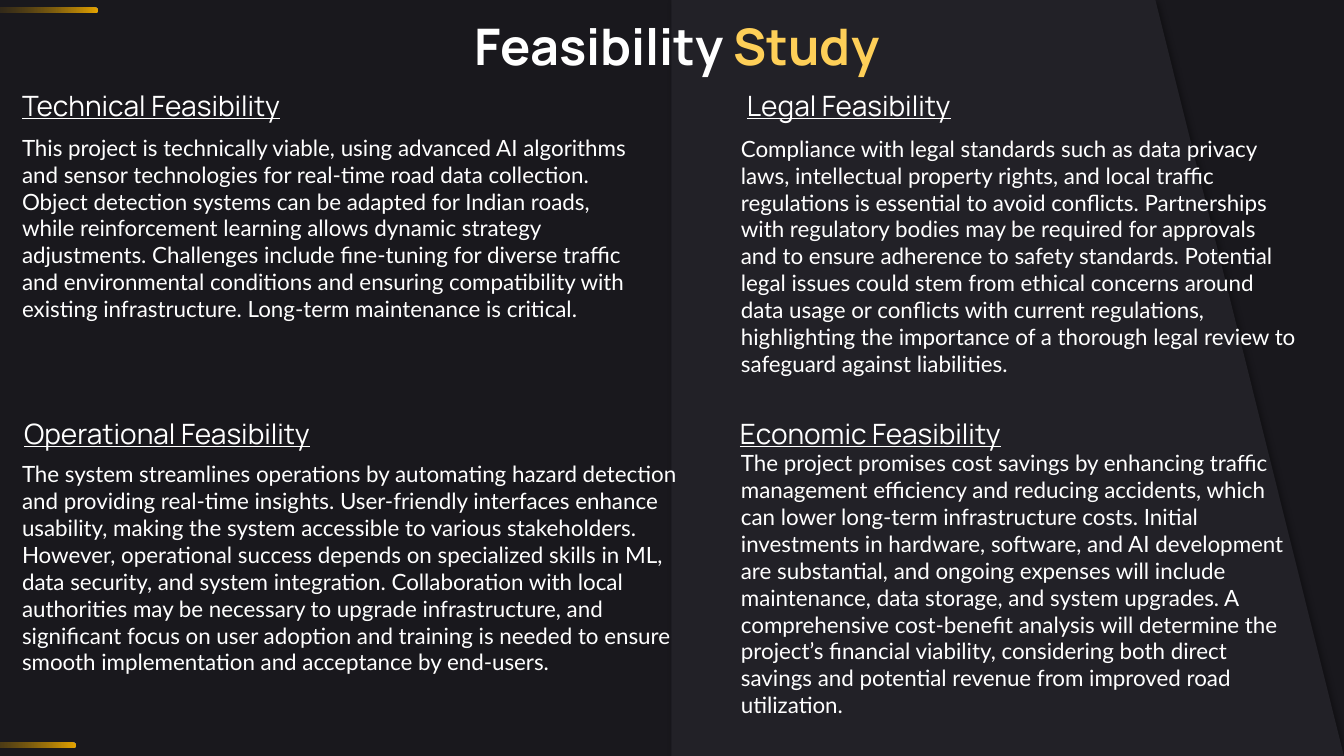
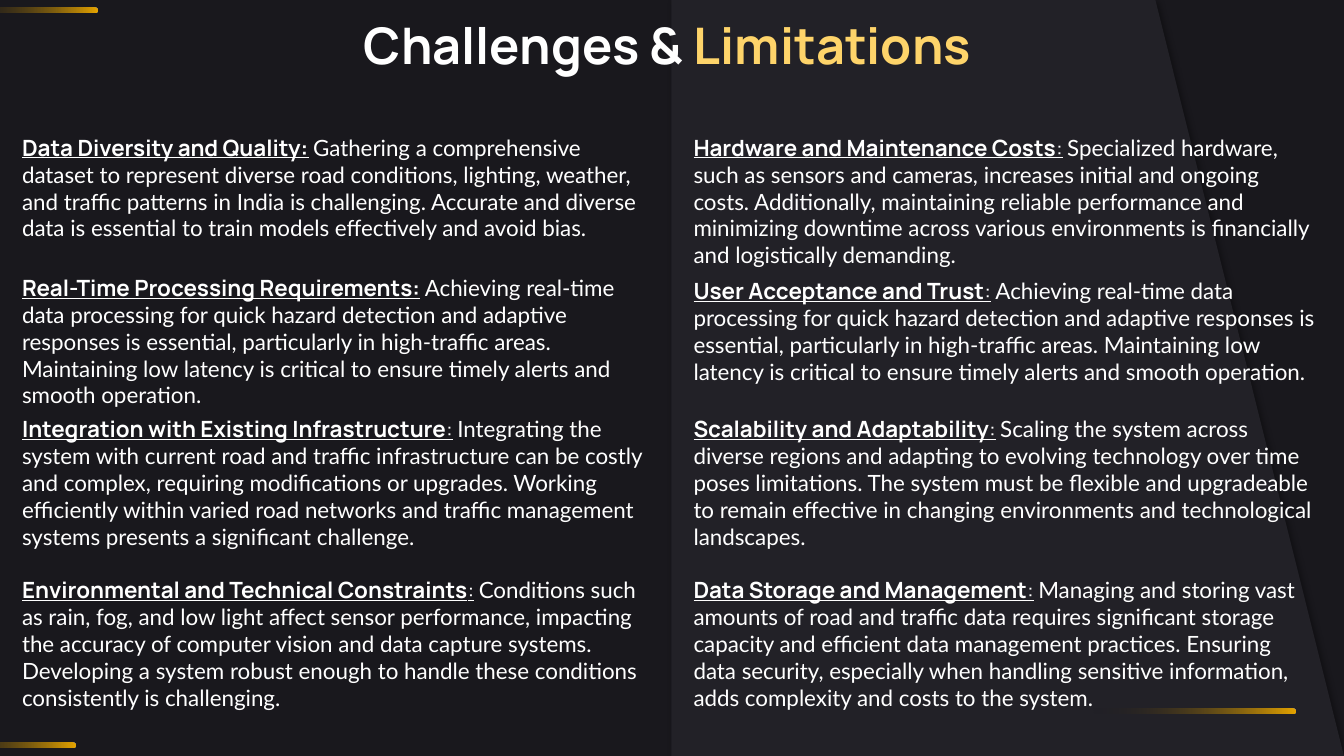
from dataclasses import dataclass

from pptx import Presentation, util as u
from pptx.dml.color import RGBColor
from pptx.enum import shapes as shp, text as txt
from pptx.oxml import ns, parse_xml

# Shared look
PX = u.Inches(1) // 100
SLIDE_W, SLIDE_H = 1333, 750
BACKGROUND, PANEL, GOLD, WHITE = "19181D", "222127", "E5A401", "FFFFFF"
HEAD_FONT, BODY_FONT = "Manrope", "Lato"
BAR_THICKNESS = 5
LEFT_X, RIGHT_X = 12, 678


@dataclass(frozen=True)
class Box:
    x: int
    y: int
    w: int
    h: int


@dataclass(frozen=True)
class Bar:
    right: int
    middle: int
    length: int


@dataclass(frozen=True)
class Title:
    box: Box
    lead: str
    accent: str
    accent_color: str
    align: txt.PP_ALIGN


@dataclass(frozen=True)
class Study:
    heading: str
    heading_box: Box
    body: str
    body_box: Box


@dataclass(frozen=True)
class Challenge:
    x: int
    y: int
    h: int
    heading: str
    body: str
    bold_colon: bool = False


EDGE_BARS = [Bar(96, 10, 150), Bar(74, 739, 150)]
COST_BAR = Bar(1284, 705, 200)

# Slide 1 content
STUDY_TITLE = Title(Box(398, 10, 547, 71), "Feasibility ", "Study", "FECF58",
                    txt.PP_ALIGN.CENTER)
STUDIES = [
    Study("Technical Feasibility", Box(12, 83, 405, 44),
          "This project is technically viable, using advanced AI algorithms and sensor "
          "technologies for real-time road data collection. Object detection systems can be "
          "adapted for Indian roads, while reinforcement learning allows dynamic strategy "
          "adjustments. Challenges include fine-tuning for diverse traffic and environmental "
          "conditions and ensuring compatibility with existing infrastructure. Long-term "
          "maintenance is critical.", Box(12, 128, 639, 199)),
    Study("Operational Feasibility", Box(14, 408, 405, 44),
          "The system streamlines operations by automating hazard detection and providing "
          "real-time insights. User-friendly interfaces enhance usability, making the system "
          "accessible to various stakeholders. However, operational success depends on "
          "specialized skills in ML, data security, and system integration. Collaboration with "
          "local authorities may be necessary to upgrade infrastructure, and significant focus "
          "on user adoption and training is needed to ensure smooth implementation and "
          "acceptance by end-users.", Box(12, 452, 675, 283)),
    Study("Legal Feasibility", Box(731, 83, 405, 44),
          "Compliance with legal standards such as data privacy laws, intellectual property "
          "rights, and local traffic regulations is essential to avoid conflicts. Partnerships "
          "with regulatory bodies may be required for approvals and to ensure adherence to "
          "safety standards. Potential legal issues could stem from ethical concerns around "
          "data usage or conflicts with current regulations, highlighting the importance of a "
          "thorough legal review to safeguard against liabilities.", Box(725, 129, 572, 226)),
    Study("Economic Feasibility", Box(724, 408, 405, 44),
          "The project promises cost savings by enhancing traffic management efficiency and "
          "reducing accidents, which can lower long-term infrastructure costs. Initial "
          "investments in hardware, software, and AI development are substantial, and ongoing "
          "expenses will include maintenance, data storage, and system upgrades. A "
          "comprehensive cost-benefit analysis will determine the project’s financial "
          "viability, considering both direct savings and potential revenue from improved road "
          "utilization.", Box(725, 441, 572, 252)),
]

# Slide 2 content
CHALLENGE_TITLE = Title(Box(351, 9, 691, 71), "Challenges & ", "Limitations", "FED46A",
                        txt.PP_ALIGN.LEFT)
REAL_TIME = ("Achieving real-time data processing for quick hazard detection and adaptive "
             "responses is essential, particularly in high-traffic areas. Maintaining low "
             "latency is critical to ensure timely alerts and smooth operation.")
CHALLENGES = [
    Challenge(LEFT_X, 128, 118, "Data Diversity and Quality",
              "Gathering a comprehensive dataset to represent diverse road conditions, "
              "lighting, weather, and traffic patterns in India is challenging. Accurate and "
              "diverse data is essential to train models effectively and avoid bias.", True),
    Challenge(LEFT_X, 267, 118, "Real-Time Processing Requirements", REAL_TIME, True),
    Challenge(LEFT_X, 407, 145, "Integration with Existing Infrastructure",
              "Integrating the system with current road and traffic infrastructure can be "
              "costly and complex, requiring modifications or upgrades. Working efficiently "
              "within varied road networks and traffic management systems presents a "
              "significant challenge."),
    Challenge(LEFT_X, 567, 145, "Environmental and Technical Constraints",
              "Conditions such as rain, fog, and low light affect sensor performance, "
              "impacting the accuracy of computer vision and data capture systems. Developing "
              "a system robust enough to handle these conditions consistently is challenging."),
    Challenge(RIGHT_X, 128, 145, "Hardware and Maintenance Costs",
              "Specialized hardware, such as sensors and cameras, increases initial and "
              "ongoing costs. Additionally, maintaining reliable performance and minimizing "
              "downtime across various environments is financially and logistically "
              "demanding."),
    Challenge(RIGHT_X, 270, 118, "User Acceptance and Trust", REAL_TIME),
    Challenge(RIGHT_X, 407, 118, "Scalability and Adaptability",
              "Scaling the system across diverse regions and adapting to evolving technology "
              "over time poses limitations. The system must be flexible and upgradeable to "
              "remain effective in changing environments and technological landscapes."),
    Challenge(RIGHT_X, 567, 145, "Data Storage and Management",
              "Managing and storing vast amounts of road and traffic data requires significant "
              "storage capacity and efficient data management practices. Ensuring data "
              "security, especially when handling sensitive information, adds complexity and "
              "costs to the system."),
]


# Drawing helpers
def paint(fill, color: str) -> None:
    fill.solid()
    fill.fore_color.rgb = RGBColor.from_string(color)


def emu(box: Box) -> tuple:
    return box.x * PX, box.y * PX, box.w * PX, box.h * PX


def add_run(p, content: str, *, size: int = 16, font: str = BODY_FONT, color: str = WHITE,
            bold: bool = False, underline: bool = False) -> None:
    r = p.add_run()
    r.text = content
    f = r.font
    f.size, f.name, f.bold, f.underline = u.Pt(size), font, bold, underline
    paint(f.fill, color)


def setup_frame(tf):
    tf.word_wrap = True
    tf.auto_size = txt.MSO_AUTO_SIZE.SHAPE_TO_FIT_TEXT
    tf.vertical_anchor = txt.MSO_ANCHOR.TOP
    return tf.paragraphs[0]


def add_box(s, box: Box):
    return setup_frame(s.shapes.add_textbox(*emu(box)).text_frame)


def add_bar(s, bar: Bar):
    """Add a gold bar that fades out to the left."""
    half = bar.length // 2
    box = Box(bar.right - half - BAR_THICKNESS // 2, bar.middle - half,
              BAR_THICKNESS, bar.length)
    sp = s.shapes.add_shape(shp.MSO_SHAPE.ROUND_2_SAME_RECTANGLE, *emu(box))
    sp.rotation = 90
    sp.adjustments[0], sp.adjustments[1] = 0.5, 0
    sp.shadow.inherit = False
    sp.line.fill.background()
    fade = parse_xml(
        f'<a:gradFill {ns.nsdecls("a")} rotWithShape="1"><a:gsLst>'
        f'<a:gs pos="0"><a:srgbClr val="{GOLD}"/></a:gs>'
        f'<a:gs pos="100000"><a:srgbClr val="{BACKGROUND}"><a:alpha val="0"/></a:srgbClr></a:gs>'
        '</a:gsLst><a:lin ang="5400000" scaled="0"/></a:gradFill>')
    sp._element.spPr.find(ns.qn("a:prstGeom")).addnext(fade)
    return sp


def add_panel(s):
    """Add the slanted panel on the right half."""
    outline = s.shapes.build_freeform(666, SLIDE_H, scale=float(PX))
    outline.add_line_segments([(SLIDE_W, SLIDE_H), (1146, 0), (666, 0)])
    sp = outline.convert_to_shape()
    paint(sp.fill, PANEL)
    sp.line.fill.background()
    sp.shadow.inherit = False
    sp._element.spPr.find(ns.qn("a:effectLst")).append(parse_xml(
        f'<a:outerShdw {ns.nsdecls("a")} blurRad="{u.Pt(5)}" dist="{u.Pt(3)}" dir="2700000" '
        'algn="tl" rotWithShape="0"><a:srgbClr val="000000"><a:alpha val="40000"/></a:srgbClr>'
        '</a:outerShdw>'))
    return sp


def decorate_layout(layout, s) -> None:
    """Build the shared decoration on a slide, then move it to the layout."""
    tree = layout.shapes._spTree
    for i, sp in enumerate([add_panel(s)] + [add_bar(s, bar) for bar in EDGE_BARS]):
        sp._element.nvSpPr.cNvPr.set("id", str(100 + i))
        tree.append(sp._element)


def set_title(s, title: Title) -> None:
    sp = s.shapes.title
    sp.left, sp.top, sp.width, sp.height = emu(title.box)
    p = setup_frame(sp.text_frame)
    p.alignment = title.align
    add_run(p, title.lead, size=36, font=HEAD_FONT, bold=True)
    add_run(p, title.accent, size=36, font=HEAD_FONT, bold=True, color=title.accent_color)


def add_study(s, study: Study) -> None:
    add_run(add_box(s, study.heading_box), study.heading, size=20, font=HEAD_FONT,
            underline=True)
    add_run(add_box(s, study.body_box), study.body)


def add_challenge(s, item: Challenge) -> None:
    p = add_box(s, Box(item.x, item.y, 639, item.h))
    add_run(p, item.heading, font=HEAD_FONT, bold=True, underline=True)
    add_run(p, ":", font=HEAD_FONT, bold=item.bold_colon, underline=True)
    add_run(p, " ", font=HEAD_FONT)
    add_run(p, item.body)


def main() -> None:
    prs = Presentation()
    prs.slide_width, prs.slide_height = SLIDE_W * PX, SLIDE_H * PX
    paint(prs.slide_master.background.fill, BACKGROUND)
    layout = prs.slide_layouts.get_by_name("Title Only")

    # Feasibility study
    s = prs.slides.add_slide(layout)
    decorate_layout(layout, s)
    set_title(s, STUDY_TITLE)
    for study in STUDIES:
        add_study(s, study)

    # Challenges and limitations
    s = prs.slides.add_slide(layout)
    set_title(s, CHALLENGE_TITLE)
    for item in CHALLENGES:
        add_challenge(s, item)
    add_bar(s, COST_BAR)

    prs.save("out.pptx")


if __name__ == "__main__":
    main()
